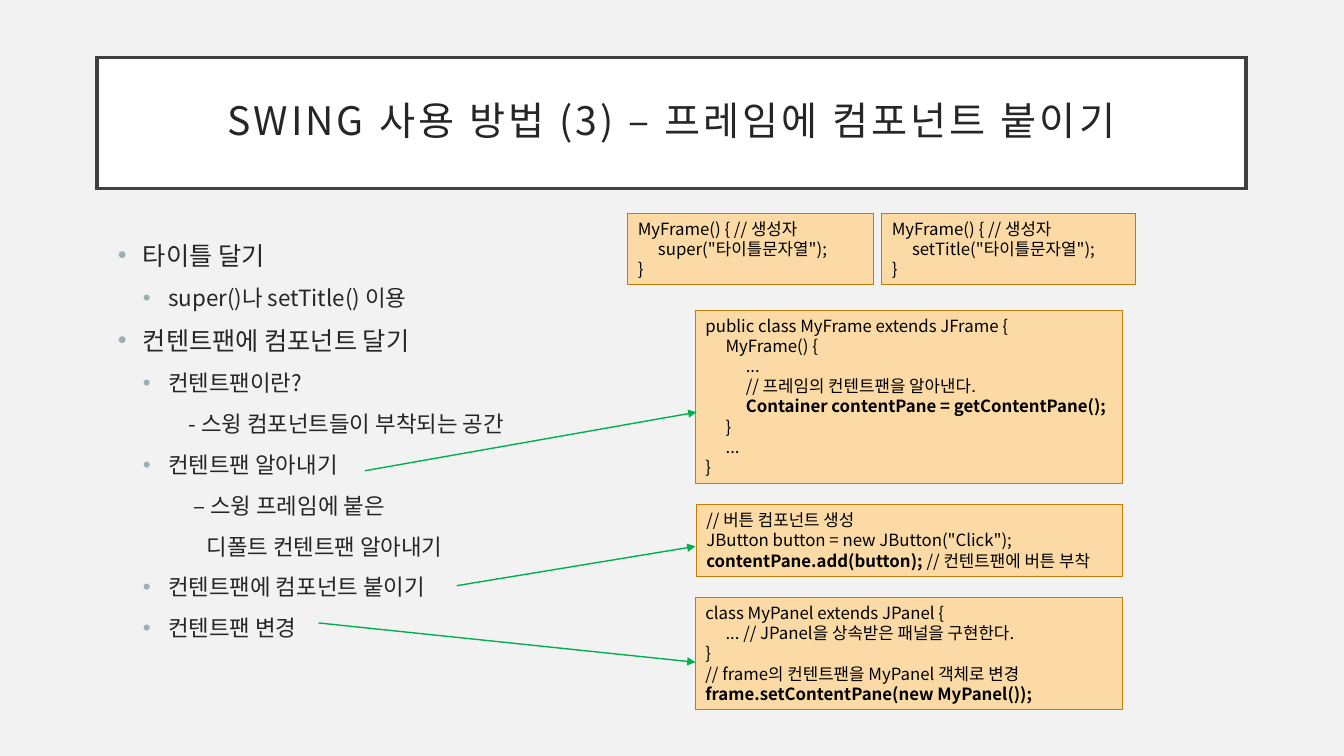
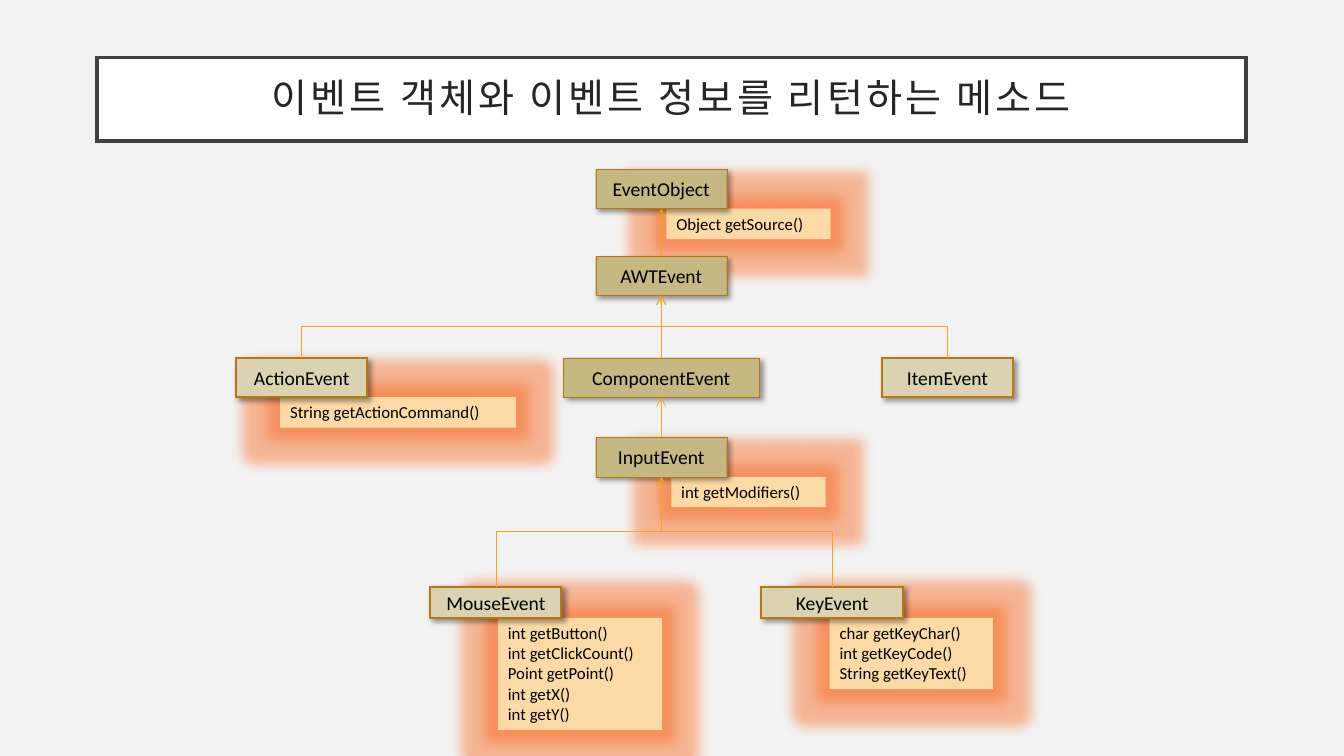
from pptx import Presentation
from pptx.dml.color import RGBColor
from pptx.enum.shapes import MSO_CONNECTOR as Link, MSO_SHAPE as Preset
from pptx.enum.text import MSO_ANCHOR as Anchor, PP_ALIGN as Align
from pptx.oxml import parse_xml
from pptx.oxml.ns import nsdecls, qn
from pptx.util import Inches, Pt

WIDTH, HEIGHT = Inches(13.33), Inches(7.5)

PAGE_GREY = RGBColor(0xF2, 0xF2, 0xF2)
WHITE = RGBColor(0xFF, 0xFF, 0xFF)
FRAME = RGBColor(0x40, 0x40, 0x40)
INK = RGBColor(0x26, 0x26, 0x26)
BLACK = RGBColor(0, 0, 0)
BULLET = RGBColor(0x9B, 0xAF, 0xB5)
PEACH = RGBColor(0xFB, 0xDA, 0xA5)
CODE_EDGE = RGBColor(0xC6, 0x7D, 0x08)
GREEN = RGBColor(0x00, 0xB0, 0x50)
KHAKI = RGBColor(0xC5, 0xB8, 0x83)
PALE_KHAKI = RGBColor(0xDA, 0xD2, 0xB0)
CLASS_EDGE = RGBColor(0xB6, 0x78, 0x15)
TREE_ORANGE = RGBColor(0xF6, 0xA2, 0x1D)
GLOW_ORANGE = RGBColor(0xFA, 0x5A, 0x07)

KOREAN, LATIN = "Noto Sans CJK KR", "Calibri"

SHADOW = ('<a:outerShdw {ns} blurRad="50800" dist="38100" dir="2700000" algn="tl" '
          'rotWithShape="0"><a:srgbClr val="000000"><a:alpha val="40000"/>'
          '</a:srgbClr></a:outerShdw>')
GLOW = ('<a:glow {ns} rad="228600"><a:srgbClr val="' + str(GLOW_ORANGE) + '">'
        '<a:alpha val="40000"/></a:srgbClr></a:glow>')

# Level: (left margin, first-line indent, text size, has bullet)
LEVELS = {
    "topic": (0.5, -0.25, 18, True),
    "point": (0.75, -0.25, 16, True),
    "hyphen": (0.95, 0, 16, False),
    "dash": (1, 0, 16, False),
    "dash_rest": (1.13, 0, 16, False),
}
OUTLINE = [
    ("topic", "타이틀 달기"),
    ("point", "super()나 setTitle() 이용"),
    ("topic", "컨텐트팬에 컴포넌트 달기"),
    ("point", "컨텐트팬이란?"),
    ("hyphen", "- 스윙 컴포넌트들이 부착되는 공간"),
    ("point", "컨텐트팬 알아내기"),
    ("dash", "– 스윙 프레임에 붙은"),
    ("dash_rest", "디폴트 컨텐트팬 알아내기"),
    ("point", "컨텐트팬에 컴포넌트 붙이기"),
    ("point", "컨텐트팬 변경"),
]

# Left, top, width in percent of the slide; each line is a list of (text, bold)
CODE_BOXES = [
    (51.75, 41.07, 31.8, [
        [("public class MyFrame extends JFrame {", False)],
        [("\tMyFrame() {", False)],
        [("\t\t...", False)],
        [("\t\t// 프레임의 컨텐트팬을 알아낸다.", False)],
        [("\t\t", False), ("Container contentPane = getContentPane();", True)],
        [("\t}", False)],
        [("\t...", False)],
        [("}", False)]]),
    (51.75, 79.07, 31.75, [
        [("class MyPanel extends JPanel {", False)],
        [("\t... // JPanel을 상속받은 패널을 구현한다.", False)],
        [("}", False)],
        [("// frame의 컨텐트팬을 MyPanel 객체로 변경", False)],
        [("frame.setContentPane(new MyPanel());", True)]]),
    (46.72, 28.27, 18.3, [
        [("MyFrame() { // 생성자", False)],
        [('\tsuper("타이틀문자열");', False)],
        [("}", False)]]),
    (51.82, 66.8, 31.72, [
        [("// 버튼 컴포넌트 생성", False)],
        [('JButton button = new JButton("Click");', False)],
        [("contentPane.add(button); ", True), ("// 컨텐트팬에 버튼 부착", False)]]),
    (65.62, 28.27, 18.9, [
        [("MyFrame() { // 생성자", False)],
        [('\tsetTitle("타이틀문자열");', False)],
        [("}", False)]]),
]
CODE_ARROWS = [
    (27.15, 62.27, 51.82, 54.53),
    (33.98, 77.47, 51.75, 72.27),
    (23.7, 82.4, 51.75, 87.6),
]

# Name: (centre, top, width, height, fill, edge width, parent)
CLASSES = {
    "EventObject": (49.2, 22.4, 9.75, 5.2, KHAKI, 0.25, None),
    "AWTEvent": (49.2, 33.87, 9.75, 5.2, KHAKI, 0.25, "EventObject"),
    "ActionEvent": (22.45, 47.33, 9.75, 5.2, PALE_KHAKI, 1.5, "AWTEvent"),
    "ComponentEvent": (49.2, 47.33, 14.63, 5.2, KHAKI, 0.25, "AWTEvent"),
    "ItemEvent": (70.5, 47.33, 9.75, 5.2, PALE_KHAKI, 1.5, "AWTEvent"),
    "InputEvent": (49.2, 57.87, 9.75, 5.2, KHAKI, 0.25, "ComponentEvent"),
    "MouseEvent": (36.9, 77.6, 9.75, 4.13, PALE_KHAKI, 1.5, "InputEvent"),
    "KeyEvent": (61.92, 77.6, 10.58, 4.13, PALE_KHAKI, 1.5, "InputEvent"),
}
# Class: (left, width, methods)
METHODS = {
    "EventObject": (49.58, 12.22, ["Object getSource()"]),
    "ActionEvent": (20.85, 17.55, ["String getActionCommand()"]),
    "InputEvent": (49.95, 11.48, ["int getModifiers()"]),
    "MouseEvent": (37.05, 12.22, ["int getButton()", "int getClickCount()",
                                  "Point getPoint()", "int getX()", "int getY()"]),
    "KeyEvent": (61.73, 12.15, ["char getKeyChar()", "int getKeyCode()",
                                "String getKeyText()"]),
}


def across(percent):
    return round(WIDTH * percent / 100)


def down(percent):
    return round(HEIGHT * percent / 100)


def lines_height(count):
    """Percent of the slide height taken by a box of 12-point lines."""
    return 1.33 + 2.7 * count


def add_span(para, text, size, font=KOREAN, color=BLACK, bold=False):
    span = para.add_run()
    span.text = text
    span.font.size, span.font.name, span.font.bold = Pt(size), font, bold
    span.font.color.rgb = color
    east_asian = span.font._element.makeelement(qn("a:ea"), {"typeface": font})
    span.font._element.find(qn("a:latin")).addnext(east_asian)
    return span


def next_para(frame, index):
    return frame.paragraphs[0] if index == 0 else frame.add_paragraph()


def add_box(page, left, top, width, height, fill, edge=None, edge_width=0.75,
            effect=None, anchor=Anchor.TOP):
    box = page.shapes.add_shape(Preset.RECTANGLE, across(left), down(top),
                                across(width), down(height))
    box.fill.solid()
    box.fill.fore_color.rgb = fill
    if edge is None:
        box.line.fill.background()
    else:
        box.line.color.rgb = edge
        box.line.width = Pt(edge_width)
        box.line._get_or_add_ln().append(
            parse_xml(f'<a:miter {nsdecls("a")} lim="800000"/>'))
    box.shadow.inherit = False
    if effect:
        effects = box._element.spPr.find(qn("a:effectLst"))
        effects.append(parse_xml(effect.format(ns=nsdecls("a"))))
    box.text_frame.word_wrap = True
    box.text_frame.vertical_anchor = anchor
    return box


def style_line(line, color, width, head):
    line.line.color.rgb = color
    line.line.width = Pt(width)
    line.line._get_or_add_ln().append(
        parse_xml(f'<a:tailEnd {nsdecls("a")} type="{head}"/>'))
    line._element.spPr.append(parse_xml(f'<a:effectLst {nsdecls("a")}/>'))


def add_page(deck, title, title_height):
    page = deck.slides.add_slide(deck.slide_layouts[6])
    page.background.fill.solid()
    page.background.fill.fore_color.rgb = PAGE_GREY
    box = add_box(page, 7.2, 7.6, 85.5, title_height, WHITE, FRAME, 2.5,
                  anchor=Anchor.MIDDLE)
    frame = box.text_frame
    frame.margin_left = frame.margin_right = Inches(0.2)
    frame.margin_top = frame.margin_bottom = Inches(0.2)
    para = frame.paragraphs[0]
    para.alignment, para.line_spacing = Align.CENTER, 0.9
    span = add_span(para, title, 28, color=INK)
    span.font._element.set("spc", "220")
    return page


def add_outline(page):
    box = page.shapes.add_textbox(across(6.15), down(31.07), across(78.4), down(64.67))
    box.text_frame.word_wrap = True
    for index, (level, text) in enumerate(OUTLINE):
        margin, indent, size, bulleted = LEVELS[level]
        para = next_para(box.text_frame, index)
        para.line_spacing = 1.0
        para.space_before = Pt(10 if index else 0)
        props = para._p.get_or_add_pPr()
        props.set("marL", str(Inches(margin)))
        props.set("indent", str(Inches(indent)))
        if bulleted:
            props.append(parse_xml(f'<a:buClr {nsdecls("a")}><a:srgbClr val="{BULLET}"/></a:buClr>'))
            props.append(parse_xml(f'<a:buFont {nsdecls("a")} typeface="Arial"/>'))
            props.append(parse_xml(f'<a:buChar {nsdecls("a")} char="•"/>'))
        add_span(para, text, size, color=INK)


def add_code(page, left, top, width, lines):
    box = add_box(page, left, top, width, lines_height(len(lines)), PEACH, CODE_EDGE)
    for index, line in enumerate(lines):
        para = next_para(box.text_frame, index)
        para.alignment = Align.LEFT
        stops = "".join(f'<a:tab pos="{Inches(0.2 * stop)}" algn="l"/>' for stop in (1, 2))
        para._p.get_or_add_pPr().append(
            parse_xml(f'<a:tabLst {nsdecls("a")}>{stops}</a:tabLst>'))
        for text, bold in line:
            add_span(para, text, 12, bold=bold)


def add_methods(page, owner):
    left, width, methods = METHODS[owner]
    _, top, _, height, *_ = CLASSES[owner]
    box = add_box(page, left, top + height, width, lines_height(len(methods)),
                  PEACH, effect=GLOW)
    for index, method in enumerate(methods):
        para = next_para(box.text_frame, index)
        para.alignment = Align.LEFT
        add_span(para, method, 12, LATIN)


def add_class(page, name):
    centre, top, width, height, fill, edge_width, _ = CLASSES[name]
    box = add_box(page, centre - width / 2, top, width, height, fill, CLASS_EDGE,
                  edge_width, SHADOW, Anchor.MIDDLE)
    para = box.text_frame.paragraphs[0]
    para.alignment = Align.CENTER
    add_span(para, name, 14, LATIN)
    return box


def join_to_parent(page, child, parent):
    """Run an arrow from the child's top to the parent's bottom, bent if needed."""
    start_x, start_y = child.left + child.width // 2, child.top
    end_x, end_y = parent.left + parent.width // 2, parent.top + parent.height
    shift, rise = end_x - start_x, start_y - end_y
    bent = abs(shift) > Inches(0.05)
    line = page.shapes.add_connector(Link.ELBOW if bent else Link.STRAIGHT,
                                     start_x, start_y, end_x, end_y)
    line.begin_connect(child, 0)
    line.end_connect(parent, 2)
    if bent:  # the preset bends sideways, so it is turned to run upwards
        line.width, line.height = rise, abs(shift)
        line.left = (start_x + end_x - rise) // 2
        line.top = (start_y + end_y - abs(shift)) // 2
        frame = line._element.spPr.find(qn("a:xfrm"))
        frame.set("rot", str(270 * 60000))
        frame.set("flipH", "0")
        frame.set("flipV", "1" if shift < 0 else "0")
    style_line(line, TREE_ORANGE, 0.5, "arrow")


def add_frame_page(deck):
    page = add_page(deck, "SWING 사용 방법 (3) – 프레임에 컴포넌트 붙이기", 17.33)
    add_outline(page)
    for code_box in CODE_BOXES:
        add_code(page, *code_box)
    for x1, y1, x2, y2 in CODE_ARROWS:
        arrow = page.shapes.add_connector(Link.STRAIGHT, across(x1), down(y1),
                                          across(x2), down(y2))
        style_line(arrow, GREEN, 1, "triangle")


def add_event_page(deck):
    page = add_page(deck, "이벤트 객체와 이벤트 정보를 리턴하는 메소드", 11.07)
    for owner in METHODS:
        add_methods(page, owner)
    boxes = {name: add_class(page, name) for name in CLASSES}
    for name, (*_, parent) in CLASSES.items():
        if parent:
            join_to_parent(page, boxes[name], boxes[parent])


def main():
    deck = Presentation()
    deck.slide_width, deck.slide_height = WIDTH, HEIGHT
    add_frame_page(deck)
    add_event_page(deck)
    deck.save("out.pptx")


if __name__ == "__main__":
    main()
